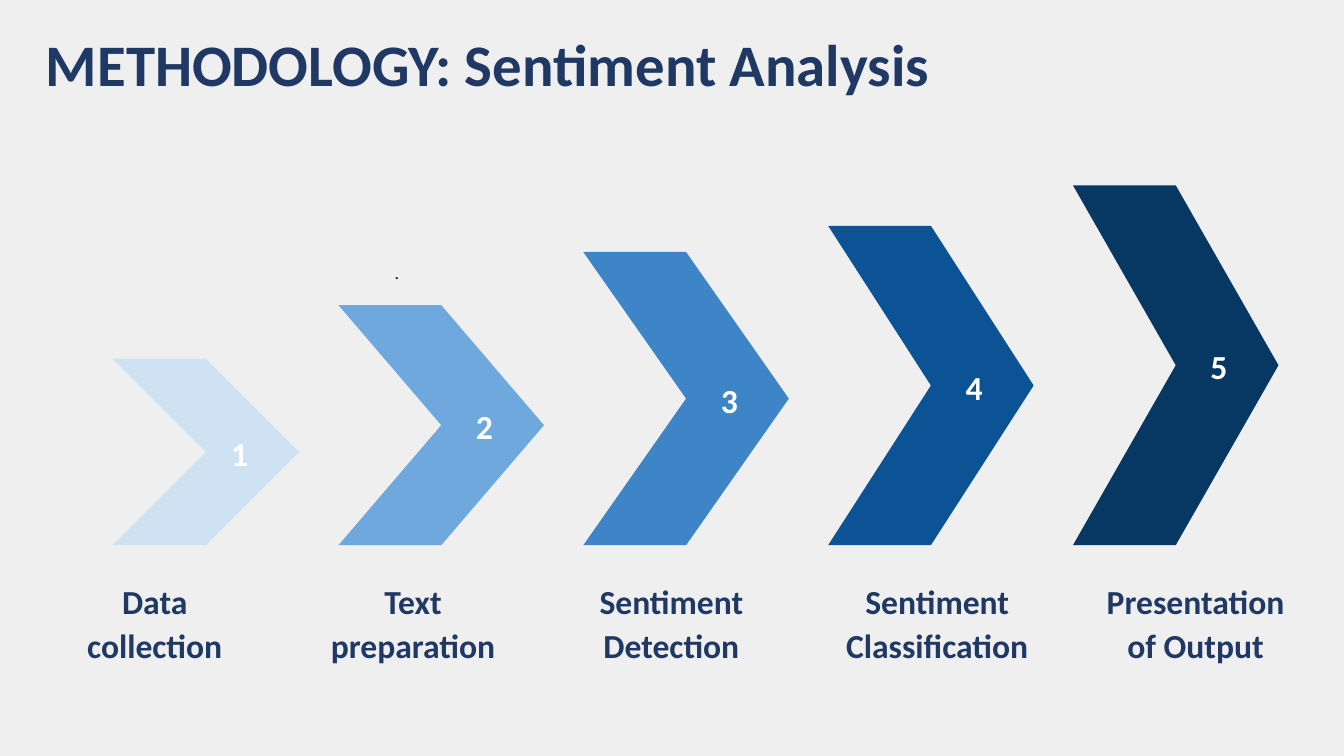
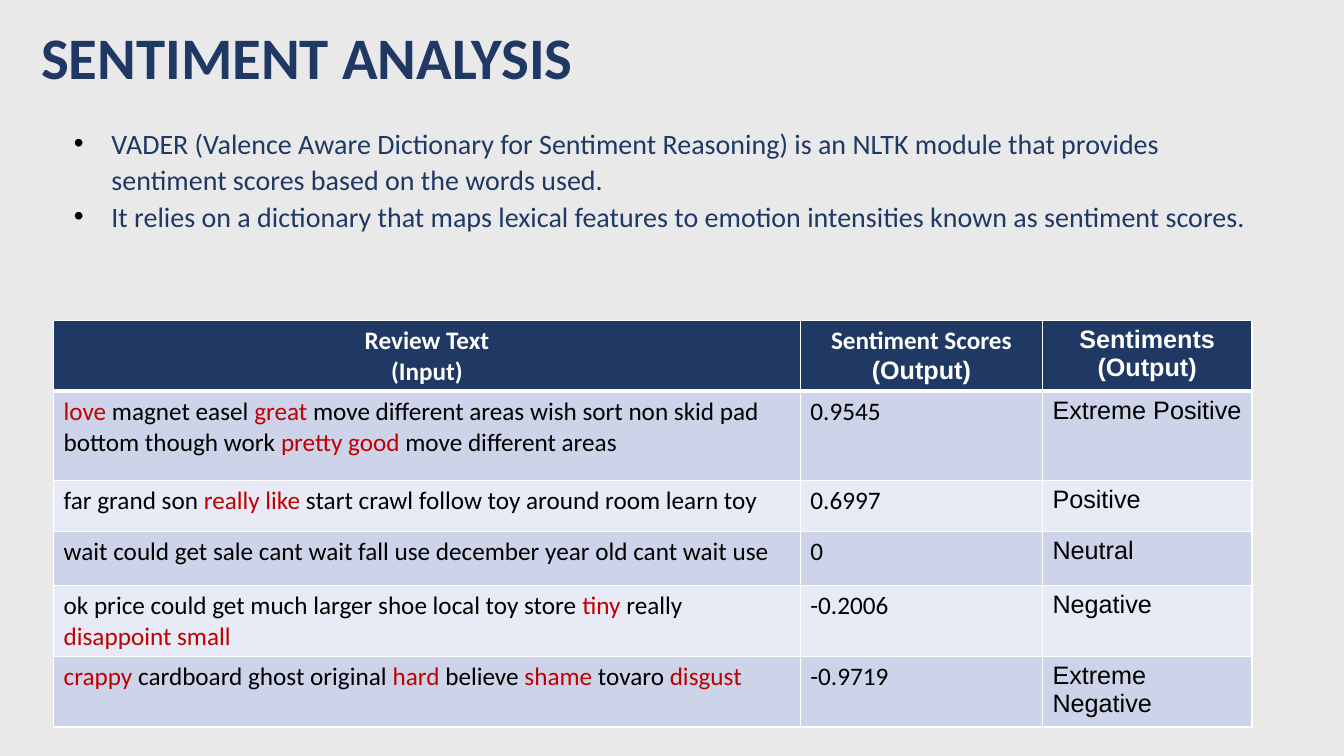
from dataclasses import dataclass

from lxml import etree
from pptx import Presentation, util as u
from pptx.dml.color import RGBColor
from pptx.enum import shapes, text
from pptx.oxml.ns import qn

Cm = u.Cm
LEFT, MID, RIGHT = text.PP_ALIGN.LEFT, text.PP_ALIGN.CENTER, text.PP_ALIGN.RIGHT


@dataclass(frozen=True)
class Theme:
    navy: str = "1F3864"
    white: str = "FFFFFF"
    black: str = "000000"
    red: str = "C00000"
    bands: tuple = ("CDD4EA", "E8EBF5")
    blues: tuple = ("CFE2F3", "6FA8DC", "3D85C6", "0B5394", "073763")
    main: str = "Calibri"
    alt: str = "Arial"
    small: str = "Lato"
    head: int = 42
    label: int = 24
    body: int = 20
    cell: int = 18
    dot: int = 12


T = Theme()
WIDE = (0.25, 0.13)
THIN = (0.13, 0.05)

# Height of each chevron and the label below it
STEPS = [
    (4.7, "Data collection"),
    (6.05, "Text preparation"),
    (7.39, "Sentiment Detection"),
    (8.05, "Sentiment Classification"),
    (9.07, "Presentation of Output"),
]

POINTS = [
    "VADER (Valence Aware Dictionary for Sentiment Reasoning) is an NLTK module "
    "that provides sentiment scores based on the words used.",
    "It relies on a dictionary that maps lexical features to emotion intensities "
    "known as sentiment scores.",
]

# Each head line goes with its font
HEADS = [
    [("Review Text", T.main), ("(Input)", T.main)],
    [("Sentiment Scores", T.main), ("(Output)", T.alt)],
    [("Sentiments", T.alt), ("(Output)", T.alt)],
]

# Words between asterisks are shown in red
REVIEWS = [
    ("*love* magnet easel *great* move different areas wish sort non skid pad "
     "bottom though work *pretty good* move different areas",
     "0.9545", "Extreme Positive"),
    ("far grand son *really like* start crawl follow toy around room learn toy",
     "0.6997", "Positive"),
    ("wait could get sale cant wait fall use december year old cant wait use",
     "0", "Neutral"),
    ("ok price could get much larger shoe local toy store *tiny* really "
     "*disappoint small*",
     "-0.2006", "Negative"),
    ("*crappy* cardboard ghost original *hard* believe *shame* tovaro *disgust*",
     "-0.9719", "Extreme Negative"),
]
COLS = (18.82, 6.1, 5.28)
ROWS = (1.75, 2.26, 1.27, 1.37, 1.78, 1.78)


def rgb(code):
    return RGBColor.from_string(code)


def add_page(deck, back):
    page = deck.slides.add_slide(deck.slide_layouts[6])
    page.background.fill.solid()
    page.background.fill.fore_color.rgb = rgb(back)
    return page


def style(par, size, color, bold=False, face=T.main, align=LEFT, space=None):
    par.alignment = align
    if space:
        par.line_spacing = space
    font = par.font
    font.size, font.bold, font.name = u.Pt(size), bold, face
    font.color.rgb = rgb(color)


def add_text(page, box, lines, size, color, pad=WIDE, grow=False, mark=False, **look):
    frame = page.shapes.add_textbox(*map(Cm, box)).text_frame
    frame.word_wrap = True
    fit = text.MSO_AUTO_SIZE
    frame.auto_size = fit.SHAPE_TO_FIT_TEXT if grow else fit.NONE
    frame.margin_left = frame.margin_right = Cm(pad[0])
    frame.margin_top = frame.margin_bottom = Cm(pad[1])
    frame.text = "\n".join(lines)
    for par in frame.paragraphs:
        if mark:
            add_bullet(par)
        style(par, size, color, **look)


def add_bullet(par):
    """Give a paragraph a hanging black dot; call before its font is set."""
    props = par._p.get_or_add_pPr()
    props.set("marL", str(Cm(0.95)))
    props.set("indent", str(-Cm(0.95)))
    tint = etree.SubElement(props, qn("a:buClr"))
    etree.SubElement(tint, qn("a:srgbClr"), val=T.black)
    etree.SubElement(props, qn("a:buFont"), typeface=T.alt)
    etree.SubElement(props, qn("a:buChar"), char="•")


def add_title(page, box, words):
    add_text(page, box, [words], T.head, T.navy, grow=True, bold=True)


def add_step(page, num, tall, label):
    """Draw a chevron on the base line with its number and label."""
    base, wide = 13.74, 5.18 if num else 4.7
    left = 8.53 + 6.17 * (num - 1) if num else 2.84
    shape = page.shapes.add_shape(
        shapes.MSO_SHAPE.CHEVRON, Cm(left), Cm(base - tall), Cm(wide), Cm(tall))
    shape.shadow.inherit = False
    shape.fill.solid()
    shape.fill.fore_color.rgb = rgb(T.blues[num])
    shape.line.fill.background()

    span, high = 3.73, 1.22
    spot = (left + wide - 1.5 - span / 2, base - tall / 2 - high / 2, span, high)
    add_text(page, spot, [str(num + 1)], T.label, T.white, bold=True, align=MID)
    foot = (1.5 + 6.51 * num, 14.4, 4.8 if num < 3 else 5.18, 2.4)
    add_text(page, foot, [label], T.label, T.navy, bold=True, align=MID, space=1.1)


def paint_cell(cell, fill, low=1):
    """Set white borders, the lower one low points wide, then the fill."""
    props = cell._tc.get_or_add_tcPr()
    for side, width in (("L", 1), ("R", 1), ("T", 1), ("B", low)):
        line = etree.SubElement(props, qn(f"a:ln{side}"), w=str(u.Pt(width)))
        solid = etree.SubElement(line, qn("a:solidFill"))
        etree.SubElement(solid, qn("a:srgbClr"), val=T.white)
    cell.fill.solid()
    cell.fill.fore_color.rgb = rgb(fill)


def fill_head(cell, lines):
    paint_cell(cell, T.navy, low=3)
    cell.text = "\n".join(words for words, _ in lines)
    for par, (_, face) in zip(cell.text_frame.paragraphs, lines):
        style(par, T.cell, T.white, bold=True, face=face, align=MID)


def fill_cell(cell, words, fill, face):
    paint_cell(cell, fill)
    par = cell.text_frame.paragraphs[0]
    style(par, T.cell, T.black, face=face)
    for i, part in enumerate(words.split("*")):
        if part:
            run = par.add_run()
            run.text = part
            if i % 2:
                run.font.color.rgb = rgb(T.red)


def add_grid(page, left, top):
    grid = page.shapes.add_table(
        len(ROWS), len(COLS), Cm(left), Cm(top), Cm(sum(COLS)), Cm(sum(ROWS))).table
    for col, wide in zip(grid.columns, COLS):
        col.width = Cm(wide)
    for row, high in zip(grid.rows, ROWS):
        row.height = Cm(high)
    for c, lines in enumerate(HEADS):
        fill_head(grid.cell(0, c), lines)
    for r, review in enumerate(REVIEWS):
        for c, words in enumerate(review):
            face = T.alt if c == 2 else T.main
            fill_cell(grid.cell(r + 1, c), words, T.bands[r % 2], face)


def add_method(deck):
    page = add_page(deck, "EFEFEF")
    add_title(page, (0.91, 0.58, 27.74, 2.06), "METHODOLOGY: Sentiment Analysis")
    add_text(page, (3.86, 6.35, 6.32, 0.71), ["."], T.dot, T.black, pad=THIN,
             grow=True, face=T.small, align=RIGHT, space=1.46)
    for num, (tall, label) in enumerate(STEPS):
        add_step(page, num, tall, label)


def add_scores(deck):
    page = add_page(deck, "E9E9E9")
    add_grid(page, 1.35, 8.08)
    add_title(page, (0.79, 0.38, 17.83, 2.06), "SENTIMENT ANALYSIS")
    add_text(page, (1.73, 3.05, 30.4, 2.92), POINTS, T.body, T.navy, pad=THIN,
             grow=True, mark=True, space=1.09)


def main():
    deck = Presentation()
    deck.slide_width, deck.slide_height = Cm(33.87), Cm(19.05)
    add_method(deck)
    add_scores(deck)
    deck.save("out.pptx")


if __name__ == "__main__":
    main()
